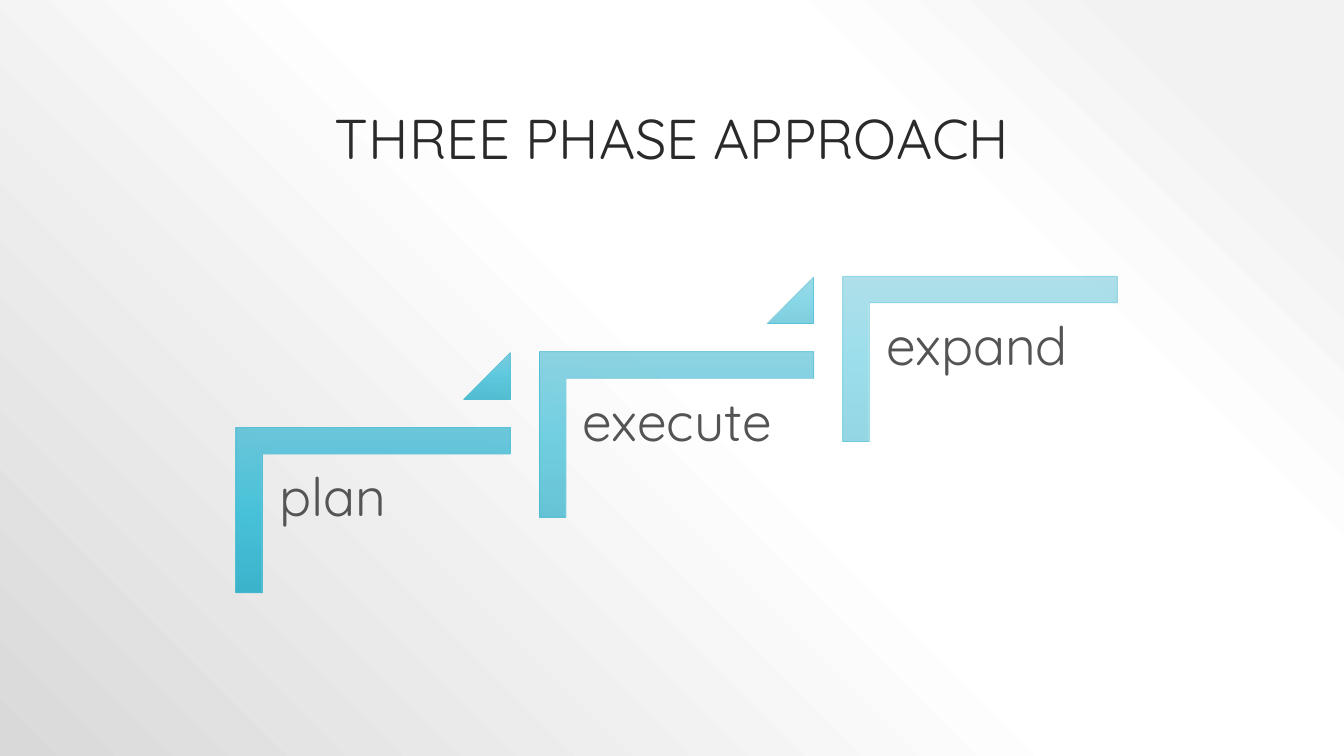
from lxml.etree import SubElement
from pptx import Presentation
from pptx.dml.color import RGBColor
from pptx.enum.shapes import MSO_SHAPE
from pptx.enum.text import MSO_ANCHOR, PP_ALIGN
from pptx.oxml.ns import qn
from pptx.util import Inches, Pt

FONT = "Quicksand"
TITLE_COLOR = RGBColor(0x2A, 0x2A, 0x2A)
LABEL_COLOR = RGBColor(0x54, 0x54, 0x54)
OUTLINE = RGBColor(0x40, 0xBA, 0xD2)
EDGE_GRAY = RGBColor(0xF2, 0xF2, 0xF2)
WHITE = RGBColor(0xFF, 0xFF, 0xFF)
CORNER_GRAY = RGBColor(0xD9, 0xD9, 0xD9)
BACKGROUND_STOPS = [(10, EDGE_GRAY), (28, WHITE), (48, WHITE), (100, CORNER_GRAY)]
STEP_STOPS = [
    (0, RGBColor(0x5F, 0xC2, 0xD8)),
    (50, RGBColor(0x39, 0xBF, 0xD9)),
    (100, RGBColor(0x2A, 0xAF, 0xC9)),
]
PHASES = ["plan", "execute", "expand"]
STEP_RIGHT = 3.01
STEP_UP = 0.75


def add_alpha(color_element, opacity):
    SubElement(color_element, qn("a:alpha"), val=str(opacity * 1000))


def reset_gradient(gradient, stops, opacity=100):
    for child in list(gradient):
        gradient.remove(child)
    gradient.set("rotWithShape", "0")
    stop_list = SubElement(gradient, qn("a:gsLst"))
    for position, color in stops:
        stop = SubElement(stop_list, qn("a:gs"), pos=str(position * 1000))
        color_element = SubElement(stop, qn("a:srgbClr"), val=str(color))
        if opacity < 100:
            add_alpha(color_element, opacity)


def set_background(slide):
    slide.background.fill.gradient()
    gradient = slide.element.xpath(".//p:bgPr/a:gradFill")[0]
    reset_gradient(gradient, BACKGROUND_STOPS)
    circle = SubElement(gradient, qn("a:path"), path="circle")
    SubElement(circle, qn("a:fillToRect"), l="100000", b="100000")


def add_step_shape(slide, kind, left, top, width, height, adjustments, opacity):
    shape = slide.shapes.add_shape(
        kind, Inches(left), Inches(top), Inches(width), Inches(height)
    )
    shape.shadow.inherit = False
    for index, value in enumerate(adjustments):
        shape.adjustments[index] = value
    shape.fill.gradient()
    gradient = shape.element.xpath("./p:spPr/a:gradFill")[0]
    reset_gradient(gradient, STEP_STOPS, opacity)
    SubElement(gradient, qn("a:lin"), ang="5400000", scaled="0")
    shape.line.width = Pt(0.5)
    shape.line.color.rgb = OUTLINE
    add_alpha(shape.element.xpath("./p:spPr/a:ln//a:srgbClr")[0], opacity)
    return shape


def add_text(slide, text, left, top, width, height, size, color):
    box = slide.shapes.add_textbox(
        Inches(left), Inches(top), Inches(width), Inches(height)
    )
    box.text_frame.word_wrap = True
    paragraph = box.text_frame.paragraphs[0]
    paragraph.line_spacing = 0.9
    run = paragraph.add_run()
    run.text = text
    run.font.name = FONT
    run.font.size = Pt(size)
    run.font.color.rgb = color
    return box


def add_title(slide, text):
    box = add_text(slide, text, 1.33, 0.3, 10.67, 1.45, 40, TITLE_COLOR)
    box.text_frame.vertical_anchor = MSO_ANCHOR.BOTTOM
    box.text_frame.paragraphs[0].alignment = PP_ALIGN.CENTER


def add_label(slide, text, left, top):
    frame = add_text(slide, text, left, top, 2.46, 2.15, 38, LABEL_COLOR).text_frame
    frame.margin_left = frame.margin_right = Inches(0.16)
    frame.margin_top = frame.margin_bottom = Inches(0.16)


def add_phase(slide, index, name):
    right = index * STEP_RIGHT
    up = index * STEP_UP
    opacity = 90 - 20 * index
    corner = add_step_shape(
        slide, MSO_SHAPE.CORNER, 2.88 + right, 3.7 - up, 1.64, 2.72,
        [0.161, 0.161], opacity,
    )
    corner.rotation = 90
    add_label(slide, name, 2.61 + right, 4.51 - up)
    if index < len(PHASES) - 1:
        add_step_shape(
            slide, MSO_SHAPE.ISOSCELES_TRIANGLE, 4.6 + right, 3.5 - up, 0.46, 0.46,
            [1], opacity - 10,
        )


def main():
    presentation = Presentation()
    presentation.slide_width = Inches(13.33)
    presentation.slide_height = Inches(7.5)
    slide = presentation.slides.add_slide(presentation.slide_layouts[6])
    set_background(slide)
    add_title(slide, "THREE PHASE APPROACH")
    for index, name in enumerate(PHASES):
        add_phase(slide, index, name)
    presentation.save("out.pptx")


if __name__ == "__main__":
    main()
